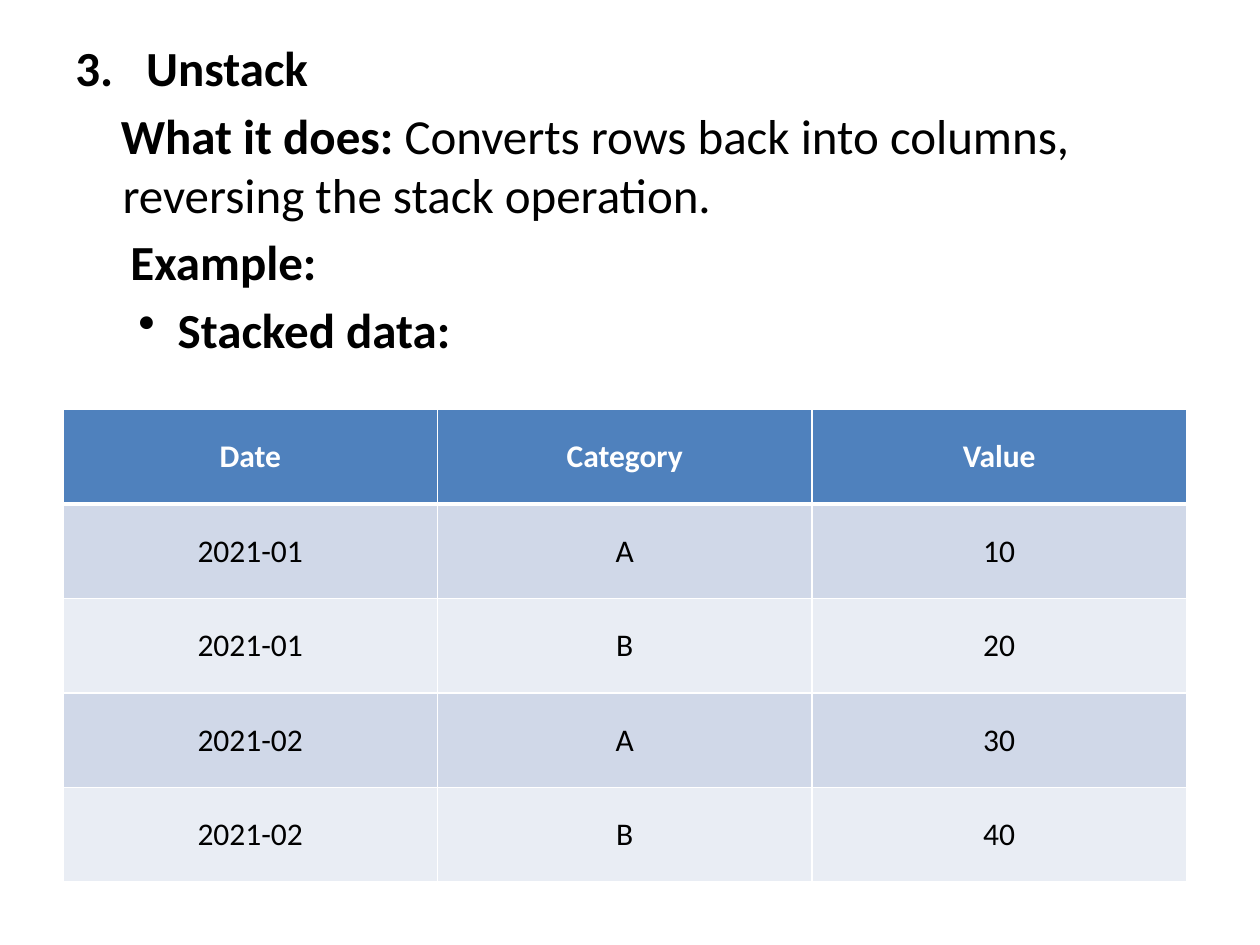
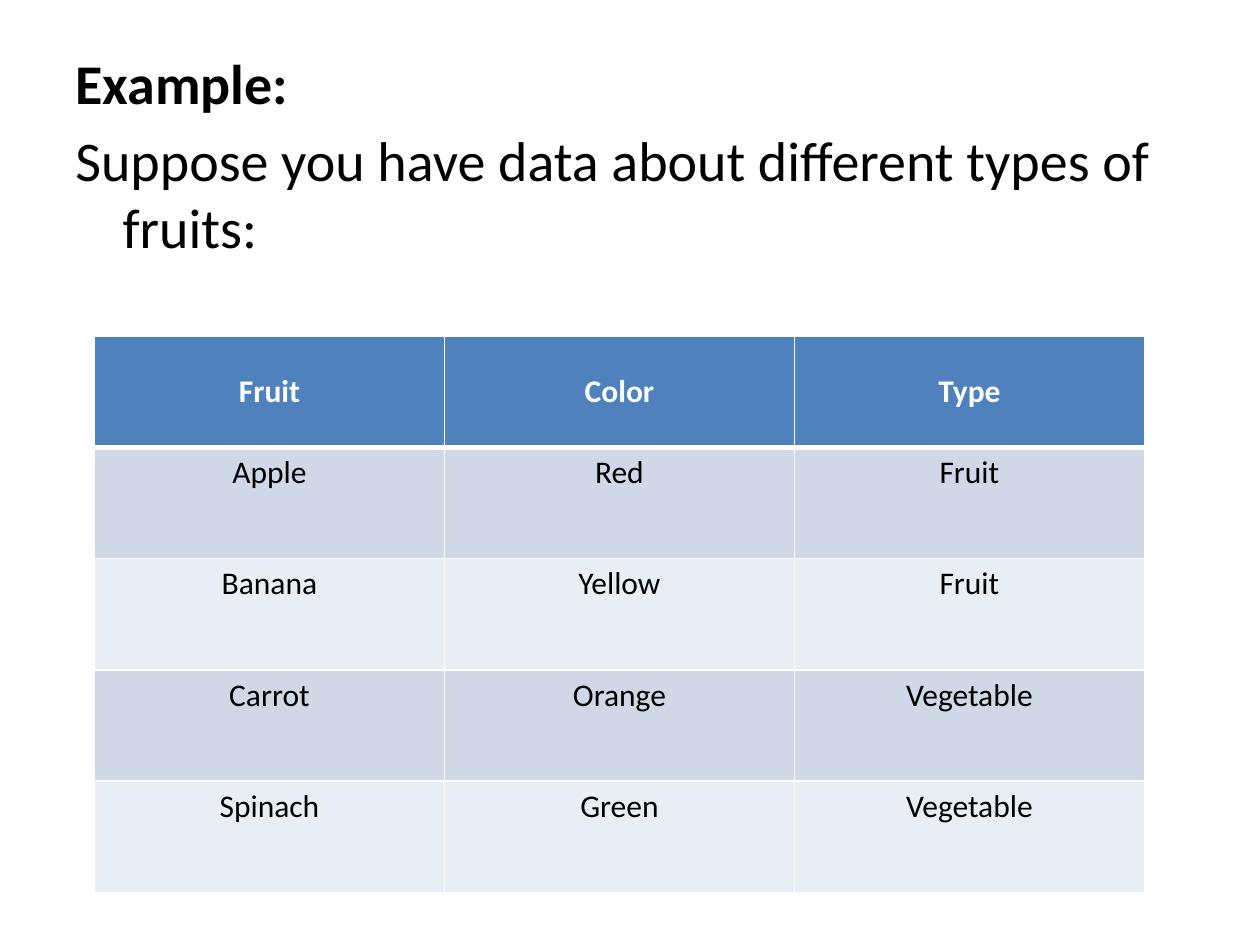
"""Build two slides on unstacking data, each with text above a table."""
from lxml import etree
from pptx import Presentation
from pptx import util as u
from pptx.dml.color import RGBColor
from pptx.enum import text
from pptx.oxml.ns import qn

Pt = u.Pt
HUES = {"ink": "000000", "white": "FFFFFF", "head": "4F81BD",
        "dark": "D0D8E8", "light": "E9EDF4"}
FONT = "Calibri"


def write(para, runs, size, hue="ink", align=None, left=0, first=0, gap=0, mark=None, level=0):
    """Fill a paragraph with (words, bold) runs; mark is a (tag, attributes) bullet."""
    para.level = level
    props = para._p.get_or_add_pPr()
    props.set("marL", str(Pt(left)))
    props.set("indent", str(Pt(first)))
    if mark:
        tag, attrs = mark
        etree.SubElement(props, qn(tag), attrs)
    para.space_before = Pt(gap)
    para.alignment = align
    for words, bold in runs:
        run = para.add_run()
        run.text = words
        run.font.name = FONT
        run.font.size = Pt(size)
        run.font.bold = bold
        run.font.color.rgb = RGBColor.from_string(HUES[hue])


def edge(cell, side, width):
    """Draw one white border of a cell."""
    line = etree.Element(qn(f"a:{side}"), w=str(Pt(width)))
    fill = etree.SubElement(line, qn("a:solidFill"))
    etree.SubElement(fill, qn("a:srgbClr"), val=HUES["white"])
    return line


PAGES = [
    {"top": 18, "size": 28, "gap": 5,
     "paras": [
         ([("Unstack", True)],
          {"left": 40.5, "first": -40.5,
           "mark": ("a:buAutoNum", {"type": "arabicPeriod", "startAt": "3"})}),
         ([("What it does:", True),
           (" Converts rows back into columns, reversing the stack operation.", False)],
          {"left": 27, "first": -1}),
         ([("Example:", True)], {"left": 31.5}),
         ([("Stacked data:", True)],
          {"left": 58.5, "first": -22.5, "level": 1, "mark": ("a:buChar", {"char": "•"})}),
     ],
     "at": (36, 234), "col": 214, "row": 54, "anchor": text.MSO_ANCHOR.MIDDLE,
     "rows": [("Date", "Category", "Value"),
              ("2021-01", "A", "10"), ("2021-01", "B", "20"),
              ("2021-02", "A", "30"), ("2021-02", "B", "40")]},
    {"top": 24, "size": 32, "gap": 5.5,
     "paras": [
         ([("Example:", True)], {"left": 27, "first": -27}),
         ([("Suppose you have data about different types of fruits:", False)],
          {"left": 27, "first": -27}),
     ],
     "at": (54, 192), "col": 200, "row": 63.6, "anchor": text.MSO_ANCHOR.TOP,
     "rows": [("Fruit", "Color", "Type"),
              ("Apple", "Red", "Fruit"), ("Banana", "Yellow", "Fruit"),
              ("Carrot", "Orange", "Vegetable"), ("Spinach", "Green", "Vegetable")]},
]

deck = Presentation()
deck.slide_width, deck.slide_height = Pt(720), Pt(540)

for page in PAGES:
    slide = deck.slides.add_slide(deck.slide_layouts[6])

    box = slide.shapes.add_textbox(Pt(36), Pt(page["top"]), Pt(648), Pt(482 - page["top"]))
    frame = box.text_frame
    frame.word_wrap = True
    for i, (runs, form) in enumerate(page["paras"]):
        para = frame.add_paragraph() if i else frame.paragraphs[0]
        write(para, runs, page["size"], gap=page["gap"] if i else 0, **form)

    rows = page["rows"]
    wide, high = len(rows[0]), len(rows)
    left, top = page["at"]
    grid = slide.shapes.add_table(high, wide, Pt(left), Pt(top),
                                  Pt(wide * page["col"]), Pt(high * page["row"])).table
    for r, row in enumerate(rows):
        for c, words in enumerate(row):
            cell = grid.cell(r, c)
            head = r == 0
            cell.vertical_anchor = text.MSO_ANCHOR.MIDDLE if head else page["anchor"]
            write(cell.text_frame.paragraphs[0], [(words, head)], 18,
                  hue="white" if head else "ink", align=text.PP_ALIGN.CENTER)
            props = cell._tc.get_or_add_tcPr()
            for side in ("lnL", "lnR", "lnT", "lnB"):
                thick = (head and side == "lnB") or (r == 1 and side == "lnT")
                props.append(edge(cell, side, 3 if thick else 1))
            cell.fill.solid()
            tint = "head" if head else "dark" if r % 2 else "light"
            cell.fill.fore_color.rgb = RGBColor.from_string(HUES[tint])

deck.save("out.pptx")
